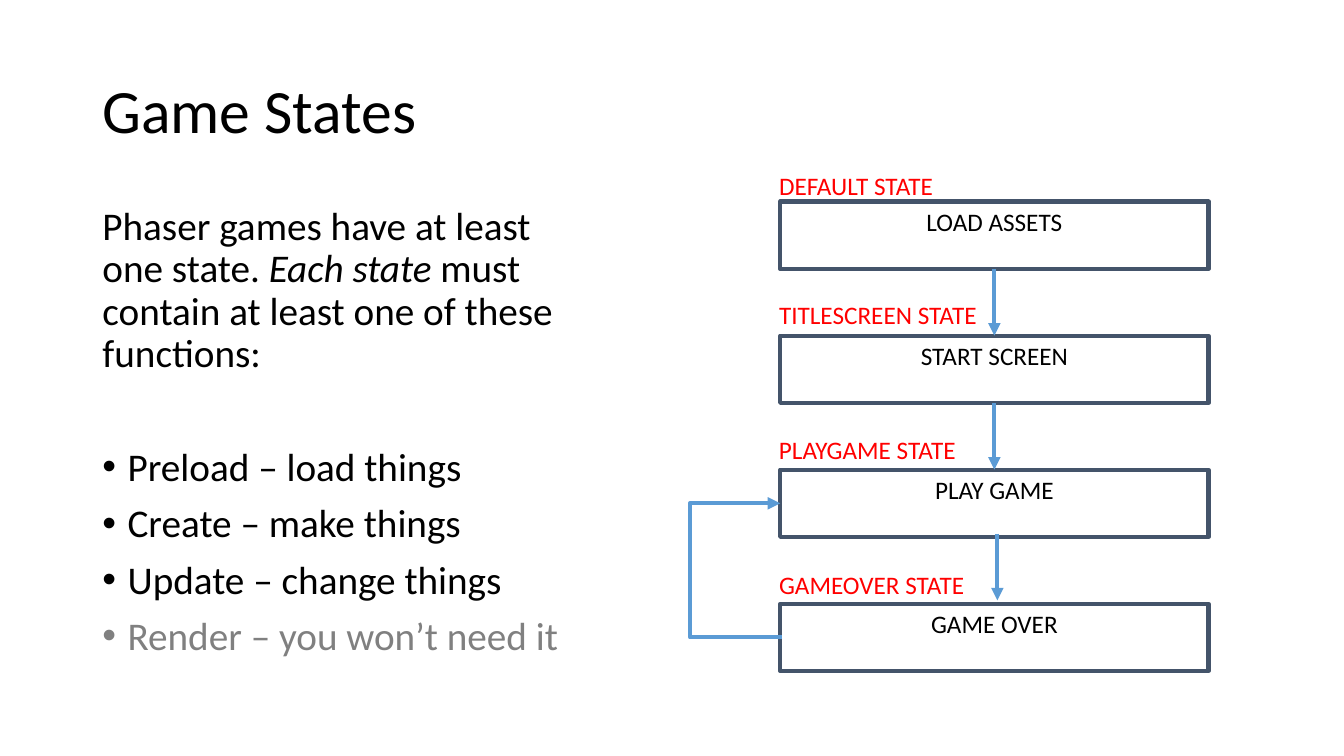
from dataclasses import dataclass

from lxml import etree
from pptx import Presentation
from pptx.dml.color import RGBColor
from pptx.enum.shapes import MSO_CONNECTOR, MSO_SHAPE
from pptx.enum.text import MSO_ANCHOR, MSO_AUTO_SIZE, PP_ALIGN
from pptx.oxml.ns import qn
from pptx.shapes.connector import Connector
from pptx.util import Inches, Length, Pt

RECTANGLE = MSO_SHAPE.RECTANGLE
STRAIGHT, ELBOW = MSO_CONNECTOR.STRAIGHT, MSO_CONNECTOR.ELBOW
LEFT, CENTER = PP_ALIGN.LEFT, PP_ALIGN.CENTER
TOP, MIDDLE = MSO_ANCHOR.TOP, MSO_ANCHOR.MIDDLE
NO_AUTOFIT = MSO_AUTO_SIZE.NONE

SLIDE_WIDTH, SLIDE_HEIGHT = Inches(13.333), Inches(7.5)
GRID_COLUMNS, GRID_ROWS = 40, 45


@dataclass(frozen=True)
class Theme:
    font: str = "Calibri"
    title_size: int = 44
    body_size: int = 28
    state_size: int = 18
    line_width: int = 3
    text: RGBColor = RGBColor(0x00, 0x00, 0x00)
    muted: RGBColor = RGBColor(0x80, 0x80, 0x80)
    label: RGBColor = RGBColor(0xFF, 0x00, 0x00)
    outline: RGBColor = RGBColor(0x44, 0x54, 0x6A)
    arrow: RGBColor = RGBColor(0x5B, 0x9B, 0xD5)


@dataclass(frozen=True)
class State:
    """A step of the game; nudges move its incoming arrow off the grid."""
    label: str
    action: str
    label_row: float
    label_columns: float
    arrow_nudge: tuple[float, float] = (0, 0)


@dataclass(frozen=True)
class Callback:
    description: str
    color: RGBColor


THEME = Theme()
STATES = [
    State("DEFAULT STATE", "LOAD ASSETS", 9.84, 5.22),
    State("TITLESCREEN STATE", "START SCREEN", 17.52, 6.54),
    State("PLAYGAME STATE", "PLAY GAME", 25.56, 5.91),
    State("GAMEOVER STATE", "GAME OVER", 33.6, 6.15, (0.09, -0.2)),
]
CALLBACKS = [
    Callback("Preload – load things", THEME.text),
    Callback("Create – make things", THEME.text),
    Callback("Update – change things", THEME.text),
    Callback("Render – you won’t need it", THEME.muted),
]
INTRO = [("Phaser games have at least one state. ", False),
         ("Each state ", True),
         ("must contain at least one of these functions:", False)]

BOX_COLUMN, BOX_COLUMNS = 23.22, 12.75
BOX_ROW, BOX_ROWS, BOX_PITCH = 12, 4, 7.98
LABEL_COLUMN, LABEL_ROWS = 22.89, 2.4
LOOP_COLUMN, LOOP_SHIFT = 20.55, 0.06


def column(count: float) -> Length:
    return Length(round(SLIDE_WIDTH * count / GRID_COLUMNS))


def row(count: float) -> Length:
    return Length(round(SLIDE_HEIGHT * count / GRID_ROWS))


def box_top(index: int) -> float:
    return BOX_ROW + index * BOX_PITCH


def area(left: float, top: float, width: float, height: float) -> tuple[Length, ...]:
    return column(left), row(top), column(width), row(height)


def place(placeholder, bounds: tuple[Length, ...], anchor) -> None:
    placeholder.left, placeholder.top, placeholder.width, placeholder.height = bounds
    placeholder.text_frame.auto_size = NO_AUTOFIT
    placeholder.text_frame.vertical_anchor = anchor


def style(paragraph, size: int, color: RGBColor, align=LEFT) -> None:
    paragraph.alignment = align
    paragraph.font.name = THEME.font
    paragraph.font.size = Pt(size)
    paragraph.font.color.rgb = color


def space_and_bullet(paragraph, before: float, bullet: str = "") -> None:
    paragraph.line_spacing = 0.9
    paragraph.space_before = Pt(before)
    indent = Inches(0.25) if bullet else 0
    properties = paragraph._p.get_or_add_pPr()
    properties.set("marL", str(indent))
    properties.set("indent", str(-indent))
    if bullet:
        etree.SubElement(properties, qn("a:buChar")).set("char", bullet)
    else:
        etree.SubElement(properties, qn("a:buNone"))


def add_title(slide) -> None:
    title = slide.shapes.title
    place(title, area(2.75, 2.4, 34.5, 8.7), MIDDLE)
    title.text_frame.text = "Game States"
    heading = title.text_frame.paragraphs[0]
    heading.line_spacing = 0.9
    style(heading, THEME.title_size, THEME.text)


def add_body(slide) -> None:
    body = slide.placeholders[1]
    place(body, area(2.75, 12, 14.67, 28.56), TOP)
    intro = body.text_frame.paragraphs[0]
    for words, italic in INTRO:
        run = intro.add_run()
        run.text = words
        run.font.italic = italic
    space_and_bullet(intro, before=10)
    style(intro, THEME.body_size, THEME.text)
    for index, callback in enumerate(CALLBACKS):
        item = body.text_frame.add_paragraph()
        item.text = callback.description
        space_and_bullet(item, before=10 if index else 51, bullet="•")
        style(item, THEME.body_size, callback.color)


def add_box(slide, state: State, index: int) -> None:
    box = slide.shapes.add_shape(
        RECTANGLE, *area(BOX_COLUMN, box_top(index), BOX_COLUMNS, BOX_ROWS))
    box.shadow.inherit = False
    box.fill.background()
    box.line.color.rgb = THEME.outline
    box.line.width = Pt(THEME.line_width)
    box.text_frame.text = state.action
    box.text_frame.vertical_anchor = TOP
    style(box.text_frame.paragraphs[0], THEME.state_size, THEME.text, CENTER)


def add_label(slide, state: State) -> None:
    label = slide.shapes.add_textbox(
        *area(LABEL_COLUMN, state.label_row, state.label_columns, LABEL_ROWS))
    label.text_frame.word_wrap = False
    label.text_frame.text = state.label
    style(label.text_frame.paragraphs[0], THEME.state_size, THEME.label)


def add_arrow(slide, kind, start: tuple[float, float], end: tuple[float, float]) -> Connector:
    arrow = slide.shapes.add_connector(
        kind, column(start[0]), row(start[1]), column(end[0]), row(end[1]))
    arrow.line.color.rgb = THEME.arrow
    arrow.line.width = Pt(THEME.line_width)
    etree.SubElement(arrow.line._get_or_add_ln(), qn("a:tailEnd")).set("type", "triangle")
    etree.SubElement(arrow._element.spPr, qn("a:effectLst"))
    return arrow


def add_step_arrow(slide, state: State, index: int) -> None:
    across, down = state.arrow_nudge
    center = BOX_COLUMN + BOX_COLUMNS / 2 + across
    add_arrow(slide, STRAIGHT,
              (center, box_top(index - 1) + BOX_ROWS + down),
              (center, box_top(index) + down))


def add_replay_loop(slide) -> None:
    """Lead from game over back to play game, by a half-turned elbow."""
    play, over = (box_top(index) + BOX_ROWS / 2 for index in (2, 3))
    right = BOX_COLUMN + LOOP_SHIFT
    loop = add_arrow(slide, ELBOW, (BOX_COLUMN, play), (right, over))
    loop._element.spPr.find(qn("a:xfrm")).set("rot", str(180 * 60000))
    bend = round((right - LOOP_COLUMN) / LOOP_SHIFT * 100000)
    guides = loop._element.spPr.find(qn("a:prstGeom")).get_or_add_avLst()
    guide = etree.SubElement(guides, qn("a:gd"))
    guide.set("name", "adj1")
    guide.set("fmla", f"val {bend}")


def main() -> None:
    deck = Presentation()
    deck.slide_width, deck.slide_height = SLIDE_WIDTH, SLIDE_HEIGHT
    slide = deck.slides.add_slide(deck.slide_layouts[1])
    add_title(slide)
    add_body(slide)
    for index, state in enumerate(STATES):
        add_box(slide, state, index)
        add_label(slide, state)
        if index:
            add_step_arrow(slide, state, index)
    add_replay_loop(slide)
    deck.save("out.pptx")


if __name__ == "__main__":
    main()
